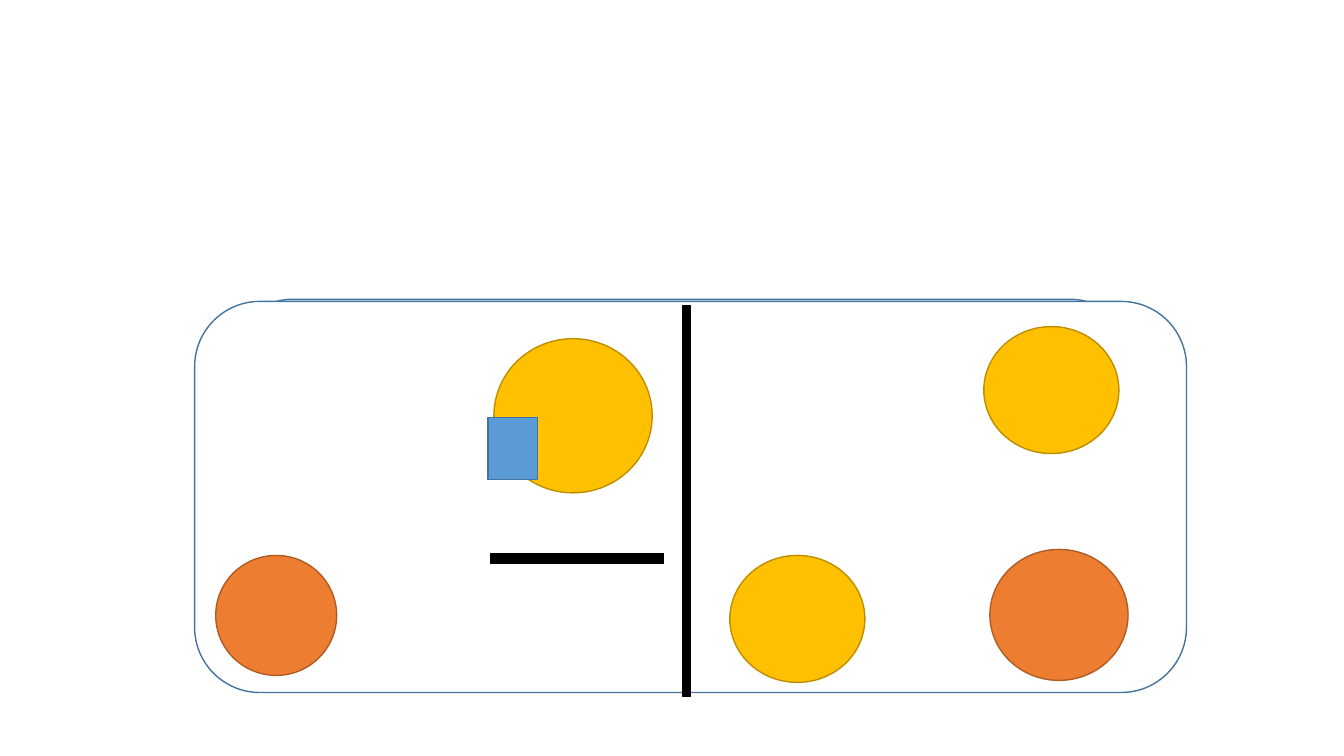
"""Draw a domino tile with coloured pips, bars and a small square."""
from dataclasses import dataclass

import pptx
import pptx.dml.color
import pptx.enum.shapes
import pptx.slide
import pptx.util

RGBColor = pptx.dml.color.RGBColor
Preset = pptx.enum.shapes.MSO_SHAPE

WHITE = RGBColor(0xFF, 0xFF, 0xFF)
BLACK = RGBColor(0x00, 0x00, 0x00)
BLUE = RGBColor(0x5B, 0x9B, 0xD5)
DARK_BLUE = RGBColor(0x43, 0x73, 0x9E)
GOLD = RGBColor(0xFF, 0xC0, 0x00)
DARK_GOLD = RGBColor(0xBD, 0x8E, 0x00)
ORANGE = RGBColor(0xED, 0x7D, 0x31)
DARK_ORANGE = RGBColor(0xAF, 0x5C, 0x24)

SLIDE_WIDTH = pptx.util.Inches(13.33)
SLIDE_HEIGHT = pptx.util.Inches(7.5)
BLANK_LAYOUT = 6
OUTLINE_FORMAT = {"width": pptx.util.Pt(1)}


@dataclass(frozen=True)
class Style:
    """Preset outline with its fill and line colours."""

    preset: Preset
    fill: RGBColor
    line: RGBColor


@dataclass(frozen=True)
class Piece:
    """Styled part placed in percent of the slide's width and height."""

    style: Style
    left: float
    top: float
    width: float
    height: float


TILE = Style(Preset.ROUNDED_RECTANGLE, WHITE, DARK_BLUE)
GOLD_PIP = Style(Preset.OVAL, GOLD, DARK_GOLD)
ORANGE_PIP = Style(Preset.OVAL, ORANGE, DARK_ORANGE)
BAR = Style(Preset.RECTANGLE, BLACK, BLACK)
SQUARE = Style(Preset.RECTANGLE, BLUE, DARK_BLUE)

DOMINO = (
    Piece(TILE, 18, 39.6, 65.4, 38.8),
    Piece(TILE, 14.48, 39.87, 73.8, 51.73),
    Piece(GOLD_PIP, 36.75, 44.8, 11.78, 20.4),
    Piece(GOLD_PIP, 54.3, 73.47, 10.05, 16.8),
    Piece(GOLD_PIP, 73.2, 43.2, 10.05, 16.8),
    Piece(ORANGE_PIP, 73.65, 72.67, 10.28, 17.33),
    Piece(BAR, 36.53, 73.2, 12.83, 1.33),
    Piece(ORANGE_PIP, 16.05, 73.47, 9, 15.87),
    Piece(BAR, 50.78, 40.4, 0.6, 51.73),
    Piece(SQUARE, 36.3, 55.2, 3.68, 8.27),
)


def across(percent: float) -> int:
    """Convert a share of the slide's width to a length."""
    return round(SLIDE_WIDTH * percent / 100)


def down(percent: float) -> int:
    """Convert a share of the slide's height to a length."""
    return round(SLIDE_HEIGHT * percent / 100)


def draw(slide: pptx.slide.Slide, piece: Piece) -> None:
    """Add one piece to the slide."""
    drawn = slide.shapes.add_shape(
        piece.style.preset,
        across(piece.left), down(piece.top),
        across(piece.width), down(piece.height),
    )
    drawn.shadow.inherit = False
    for paint, colour in ((drawn.fill, piece.style.fill),
                          (drawn.line.fill, piece.style.line)):
        paint.solid()
        paint.fore_color.rgb = colour
    for attribute, value in OUTLINE_FORMAT.items():
        setattr(drawn.line, attribute, value)


def main() -> None:
    """Build and save the domino slide."""
    deck = pptx.Presentation()
    deck.slide_width = SLIDE_WIDTH
    deck.slide_height = SLIDE_HEIGHT
    domino_slide = deck.slides.add_slide(deck.slide_layouts[BLANK_LAYOUT])
    for piece in DOMINO:
        draw(domino_slide, piece)
    deck.save("out.pptx")


main()
